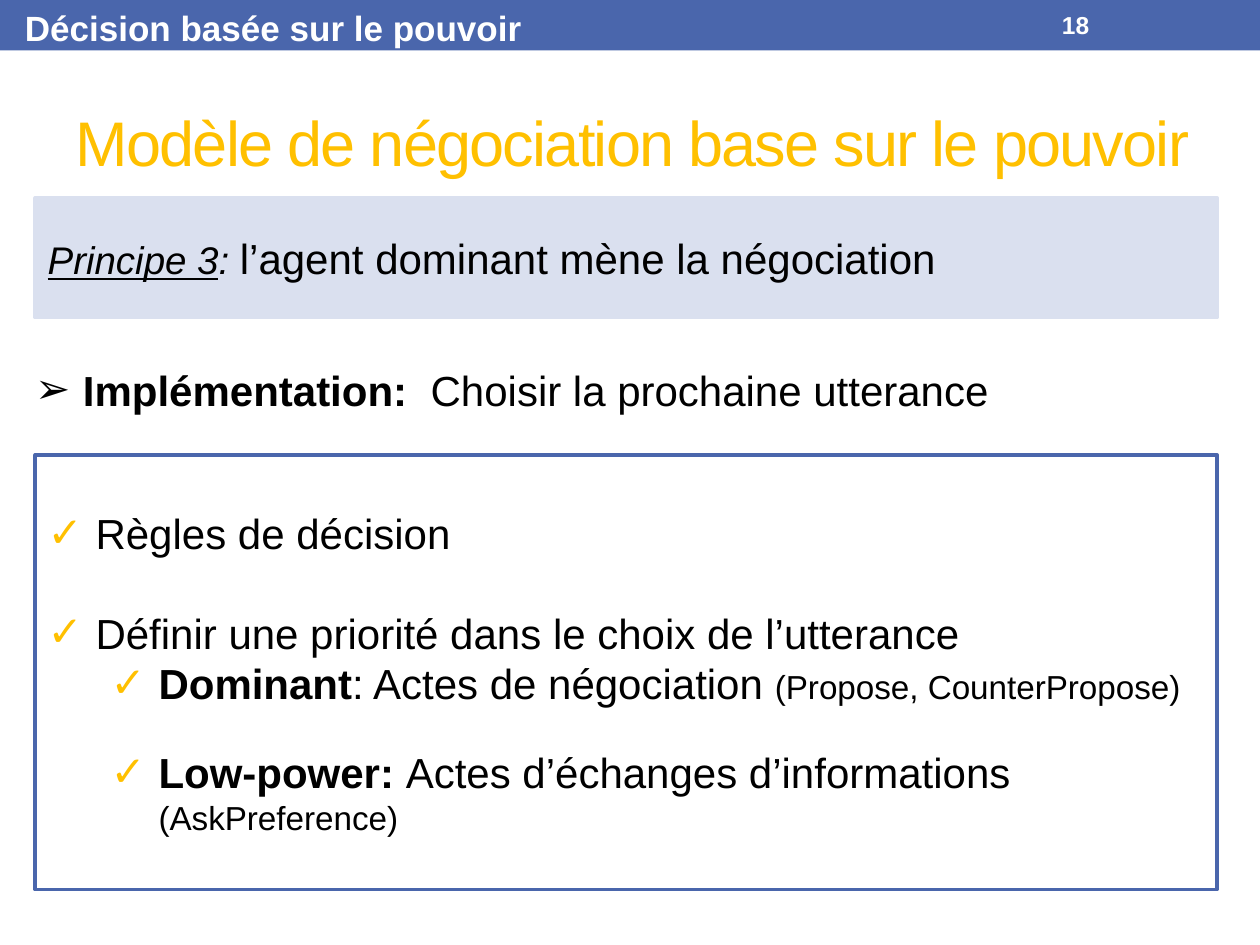
from dataclasses import dataclass

from lxml import etree
from pptx import Presentation
from pptx.dml.color import RGBColor
from pptx.enum.shapes import MSO_SHAPE
from pptx.enum.text import MSO_ANCHOR, PP_ALIGN
from pptx.oxml.ns import qn
from pptx.util import Inches, Pt

RECT = MSO_SHAPE.RECTANGLE
TOP, MIDDLE = MSO_ANCHOR.TOP, MSO_ANCHOR.MIDDLE
LEFT = PP_ALIGN.LEFT

COLORS = {"blue": "4A66AC", "pale": "DAE0EF", "gold": "FFC000",
          "black": "000000", "white": "FFFFFF"}
FONT = "Arial"
BODY, SMALL = 24, 19
HANG = 0.38     # hanging indent of a bullet, inches
STEP = 0.5      # extra indent per level, inches
CELL = 0.1      # grid of 100 columns by 75 rows, inches


@dataclass
class Box:
    """A place on the grid, in columns and rows."""
    col: float
    row: float
    cols: float
    rows: float

    def place(self) -> list:
        return [Inches(v * CELL)
                for v in (self.col, self.row, self.cols, self.rows)]


@dataclass
class Run:
    text: str
    size: float = BODY
    color: str = "black"
    bold: bool = False
    italic: bool = False
    underline: bool = False


@dataclass
class Para:
    runs: list[Run]
    bullet: str = ""
    bullet_color: str = "black"
    level: int = 0
    before: float = 0


def rgb(name: str) -> RGBColor:
    return RGBColor.from_string(COLORS[name])


def add_bullet(p, para: Para) -> None:
    pPr = p._p.get_or_add_pPr()
    pPr.set("marL", str(Inches(HANG + para.level * STEP)))
    pPr.set("indent", str(-Inches(HANG)))
    clr = etree.SubElement(pPr, qn("a:buClr"))
    etree.SubElement(clr, qn("a:srgbClr"), val=COLORS[para.bullet_color])
    etree.SubElement(pPr, qn("a:buFont"), typeface=FONT)
    etree.SubElement(pPr, qn("a:buChar"), char=para.bullet)


def write(sp, paras: list[Para], anchor=MIDDLE, wrap: bool = True) -> None:
    tf = sp.text_frame
    tf.word_wrap = wrap
    tf.vertical_anchor = anchor
    for i, para in enumerate(paras):
        p = tf.add_paragraph() if i else tf.paragraphs[0]
        p.alignment = LEFT
        p.level = para.level
        if para.before:
            p.space_before = Pt(para.before)
        if para.bullet:
            add_bullet(p, para)
        for run in para.runs:
            r = p.add_run()
            r.text = run.text
            r.font.name = FONT
            r.font.size = Pt(run.size)
            r.font.color.rgb = rgb(run.color)
            r.font.bold = run.bold
            r.font.italic = run.italic
            r.font.underline = run.underline


def add_panel(slide, box: Box, fill: str = "", line: str = ""):
    sp = slide.shapes.add_shape(RECT, *box.place())
    sp.shadow.inherit = False
    if fill:
        sp.fill.solid()
        sp.fill.fore_color.rgb = rgb(fill)
    else:
        sp.fill.background()
    if line:
        sp.line.color.rgb = rgb(line)
        sp.line.width = Pt(2.08)
    else:
        sp.line.fill.background()
    return sp


def add_label(slide, box: Box, para: Para, anchor=TOP, wrap: bool = True) -> None:
    write(slide.shapes.add_textbox(*box.place()), [para], anchor, wrap)


def check(runs: list[Run], level: int = 0, before: float = 0) -> Para:
    return Para(runs, "✓", "gold", level, before)


def main() -> None:
    prs = Presentation()
    prs.slide_width, prs.slide_height = Inches(10), Inches(7.5)
    slide = prs.slides.add_slide(prs.slide_layouts[5])

    # Header band with section name and page number
    add_panel(slide, Box(0, 0, 100, 4), fill="blue")
    add_label(slide, Box(1, 0, 41.7, 4.4),
              Para([Run("Décision basée sur le pouvoir", 20, "white", bold=True)]),
              wrap=False)
    add_label(slide, Box(83.3, 0.2, 11.7, 3.6),
              Para([Run("18", 14, "white", bold=True)]), MIDDLE)

    # Title
    title = slide.shapes.title
    title.left, title.top, title.width, title.height = Box(5, 5.8, 93, 10.8).place()
    write(title, [Para([Run("Modèle de négociation base sur le pouvoir", 36, "gold")])])
    title.text_frame.paragraphs[0].runs[0].font._element.set("spc", "-100")

    # Principle
    principle = add_panel(slide, Box(2.8, 15.7, 93.8, 9.5), "pale", "pale")
    write(principle, [Para([
        Run("Principe 3", 22, italic=True, underline=True),
        Run(": ", 22, italic=True),
        Run("l’agent dominant mène la négociation")])])

    # Implementation
    add_label(slide, Box(1.8, 28.4, 92.9, 5), Para([
        Run("Implémentation:  ", bold=True),
        Run("Choisir la prochaine utterance")], "➢"))

    # Decision rules
    rules = add_panel(slide, Box(2.8, 36.1, 93.8, 34.5), line="blue")
    write(rules, [
        check([Run("Règles de décision")]),
        check([Run("Définir une priorité dans le choix de l’utterance")], before=28),
        check([Run("Dominant", bold=True), Run(": Actes de négociation "),
               Run("(Propose, CounterPropose)", SMALL)], level=1),
        check([Run("Low-power: ", bold=True),
               Run("Actes d’échanges d’informations "),
               Run("(AskPreference)", SMALL)], level=1, before=22),
    ])

    prs.save("out.pptx")


if __name__ == "__main__":
    main()
